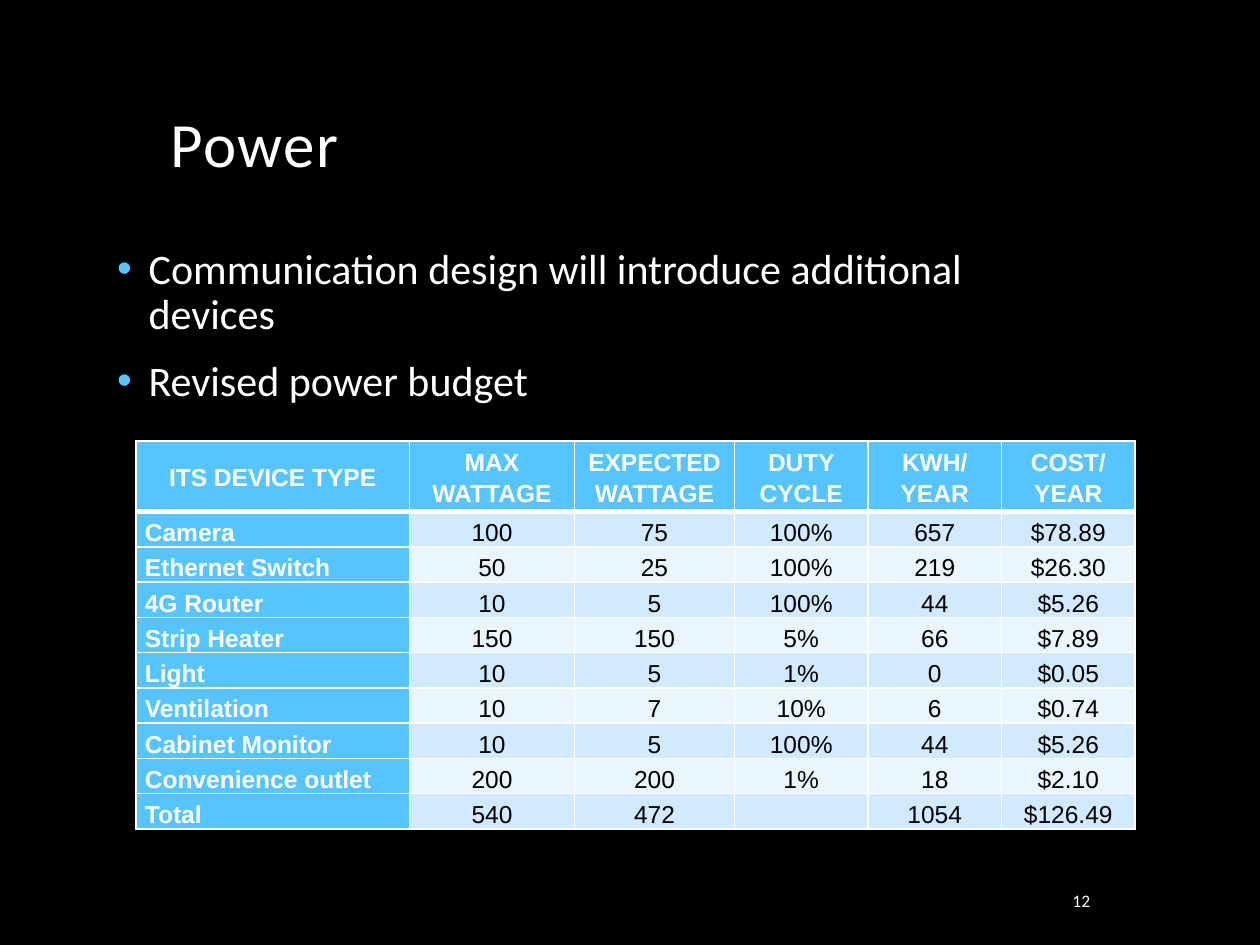
from dataclasses import dataclass

from lxml.etree import SubElement
from pptx import Presentation
from pptx.dml.color import RGBColor
from pptx.enum.text import MSO_ANCHOR, MSO_AUTO_SIZE, PP_ALIGN
from pptx.oxml.ns import qn
from pptx.util import Inches, Pt


@dataclass(frozen=True)
class Theme:
    background: str = "000000"
    light_text: str = "FFFFFF"
    dark_text: str = "000000"
    accent: str = "56C5FF"
    bands: tuple = ("D1EAFF", "E9F5FF")
    body_font: str = "Calibri"
    table_font: str = "Arial"
    title_size: int = 36
    body_size: int = 24
    table_size: int = 14
    number_size: int = 10


HEADERS = ["ITS DEVICE TYPE", "MAX WATTAGE", "EXPECTED WATTAGE", "DUTY CYCLE",
           "KWH/\vYEAR", "COST/\nYEAR"]
DEVICES = [
    ["Camera", "100", "75", "100%", "657", "$78.89"],
    ["Ethernet Switch", "50", "25", "100%", "219", "$26.30"],
    ["4G Router", "10", "5", "100%", "44", "$5.26"],
    ["Strip Heater", "150", "150", "5%", "66", "$7.89"],
    ["Light", "10", "5", "1%", "0", "$0.05"],
    ["Ventilation", "10", "7", "10%", "6", "$0.74"],
    ["Cabinet Monitor", "10", "5", "100%", "44", "$5.26"],
    ["Convenience outlet", "200", "200", "1%", "18", "$2.10"],
    ["Total", "540", "472", "", "1054", "$126.49"],
]
COLUMN_WIDTHS = [2.17, 1.31, 1.27, 1.06, 1.06, 1.06]
HEADER_HEIGHT, ROW_HEIGHT = 0.56, 0.28


def write_text(frame, text, *, font, size, color, bold=False, align=PP_ALIGN.LEFT,
               line_spacing=1.0, space_before=0, tracking=0, bullet_color=None):
    """Fill a text frame: a newline starts a paragraph, a vertical tab breaks a line."""
    for index, line in enumerate(text.split("\n")):
        paragraph = frame.paragraphs[0] if index == 0 else frame.add_paragraph()
        paragraph.text = line
        if not paragraph.runs:
            paragraph.add_run()
        paragraph.alignment = align
        paragraph.line_spacing = line_spacing
        paragraph.space_before = Pt(space_before if index else 0)
        paragraph.space_after = Pt(0)
        if bullet_color:
            add_bullet(paragraph, bullet_color)
        for run in paragraph.runs:
            run.font.name = font
            run.font.size = Pt(size)
            run.font.bold = bold
            run.font.color.rgb = RGBColor.from_string(color)
            if tracking:
                run.font._element.set("spc", str(tracking * 100))


def add_bullet(paragraph, color):
    properties = paragraph._p.get_or_add_pPr()
    properties.set("marL", str(Inches(0.25)))
    properties.set("indent", str(Inches(-0.25)))
    bullet_color = SubElement(properties, qn("a:buClr"))
    SubElement(bullet_color, qn("a:srgbClr"), val=color)
    SubElement(properties, qn("a:buFont"), typeface="Arial")
    SubElement(properties, qn("a:buChar"), char="•")


def set_borders(cell, color, **widths):
    """Draw cell borders; widths are points keyed by side (L, R, T, B)."""
    properties = cell._tc.get_or_add_tcPr()
    for position, (side, width) in enumerate(widths.items()):
        line = SubElement(properties, qn(f"a:ln{side}"), w=str(Pt(width)))
        fill = SubElement(line, qn("a:solidFill"))
        SubElement(fill, qn("a:srgbClr"), val=color)
        properties.insert(position, line)


class SlideBuilder:
    def __init__(self, presentation, theme):
        self.theme = theme
        self.slide = presentation.slides.add_slide(presentation.slide_layouts[1])
        fill = self.slide.background.fill
        fill.solid()
        fill.fore_color.rgb = RGBColor.from_string(theme.background)

    def place(self, shape, left, top, width, height, anchor):
        shape.left, shape.top = Inches(left), Inches(top)
        shape.width, shape.height = Inches(width), Inches(height)
        frame = shape.text_frame
        frame.word_wrap = True
        frame.auto_size = MSO_AUTO_SIZE.NONE
        frame.vertical_anchor = anchor
        return frame

    def write_body(self, frame, text, size, **formatting):
        write_text(frame, text, font=self.theme.body_font, size=size,
                   color=self.theme.light_text, **formatting)

    def title(self, text, *box):
        frame = self.place(self.slide.shapes.title, *box, MSO_ANCHOR.MIDDLE)
        self.write_body(frame, text, self.theme.title_size, line_spacing=0.9, tracking=1)

    def bullets(self, lines, *box):
        frame = self.place(self.slide.placeholders[1], *box, MSO_ANCHOR.TOP)
        self.write_body(frame, "\n".join(lines), self.theme.body_size, line_spacing=0.9,
                        space_before=12, bullet_color=self.theme.accent)

    def page_number(self, text, *box):
        shape = self.slide.shapes.add_textbox(0, 0, 0, 0)
        frame = self.place(shape, *box, MSO_ANCHOR.MIDDLE)
        self.write_body(frame, text, self.theme.number_size, align=PP_ALIGN.RIGHT)

    def table(self, rows, left, top):
        heights = [HEADER_HEIGHT] + [ROW_HEIGHT] * (len(rows) - 1)
        table = self.slide.shapes.add_table(
            len(rows), len(COLUMN_WIDTHS), Inches(left), Inches(top),
            Inches(sum(COLUMN_WIDTHS)), Inches(sum(heights))).table
        table.first_col = True
        for column, width in zip(table.columns, COLUMN_WIDTHS):
            column.width = Inches(width)
        for row, height in zip(table.rows, heights):
            row.height = Inches(height)
        for row_index, values in enumerate(rows):
            for column_index, value in enumerate(values):
                self.table_cell(table.cell(row_index, column_index), value,
                                row_index, column_index)

    def table_cell(self, cell, text, row, column):
        theme = self.theme
        is_header = row == 0
        is_label = is_header or column == 0
        cell.margin_left = cell.margin_right = Inches(0.07)
        cell.margin_top = cell.margin_bottom = 0
        cell.vertical_anchor = MSO_ANCHOR.MIDDLE if is_header else MSO_ANCHOR.BOTTOM
        cell.fill.solid()
        cell.fill.fore_color.rgb = RGBColor.from_string(
            theme.accent if is_label else theme.bands[(row - 1) % 2])
        set_borders(cell, theme.light_text, L=1, R=1,
                    T=3 if row == 1 else 1, B=3 if is_header else 1)
        write_text(cell.text_frame, text, font=theme.table_font, size=theme.table_size,
                   color=theme.light_text if is_label else theme.dark_text,
                   bold=is_label, line_spacing=1.15,
                   align=PP_ALIGN.CENTER if is_header or column else PP_ALIGN.LEFT)


def main():
    presentation = Presentation()
    presentation.slide_width, presentation.slide_height = Inches(10), Inches(7.5)
    builder = SlideBuilder(presentation, Theme())
    builder.title("Power", 1.25, 0.42, 7.5, 1.5)
    builder.page_number("12", 8.06, 7, 0.69, 0.3)
    builder.bullets(["Communication design will introduce additional devices",
                     "Revised power budget"], 0.83, 1.92, 7.23, 0.42)
    builder.table([HEADERS] + DEVICES, 1.08, 3.5)
    presentation.save("out.pptx")


if __name__ == "__main__":
    main()
